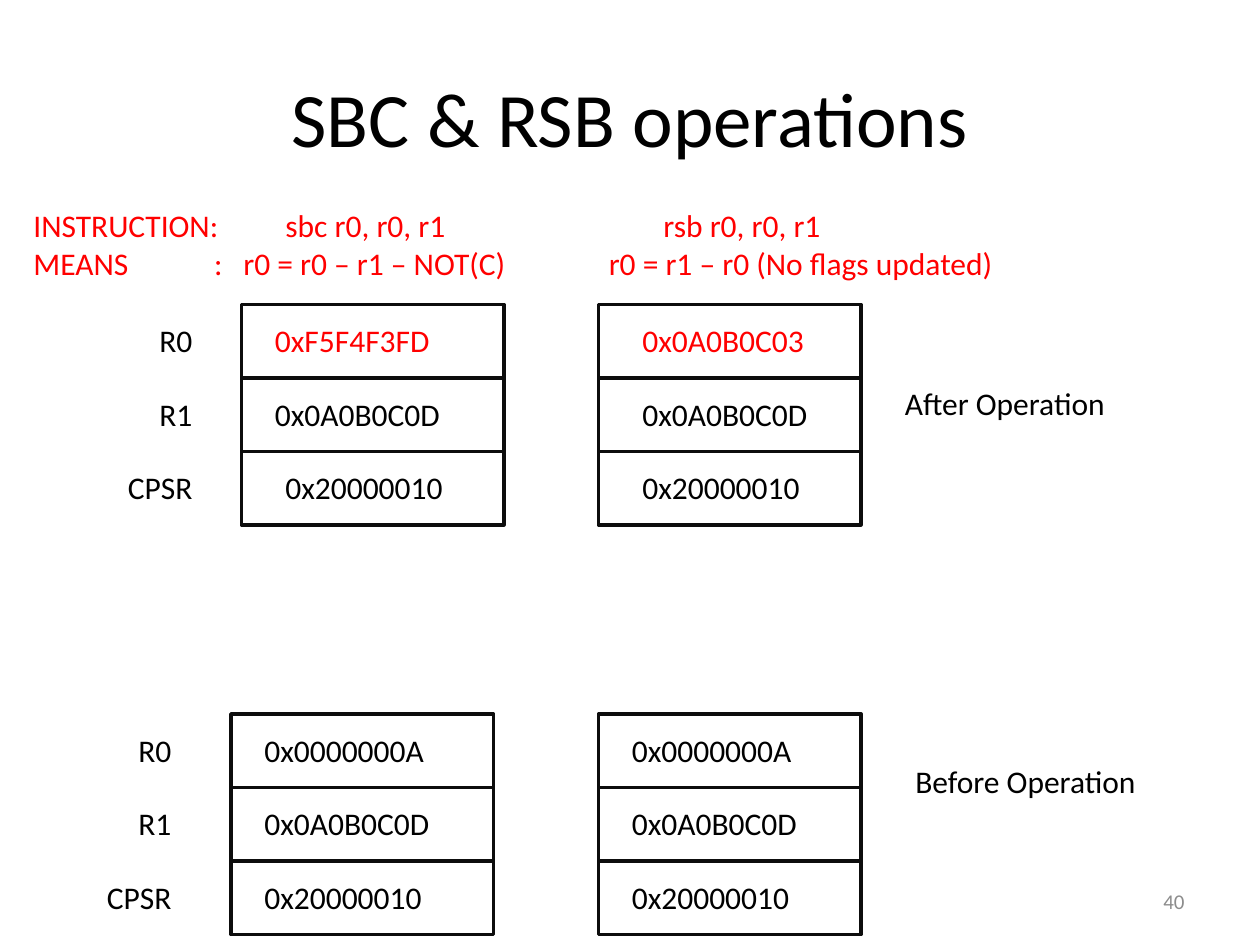
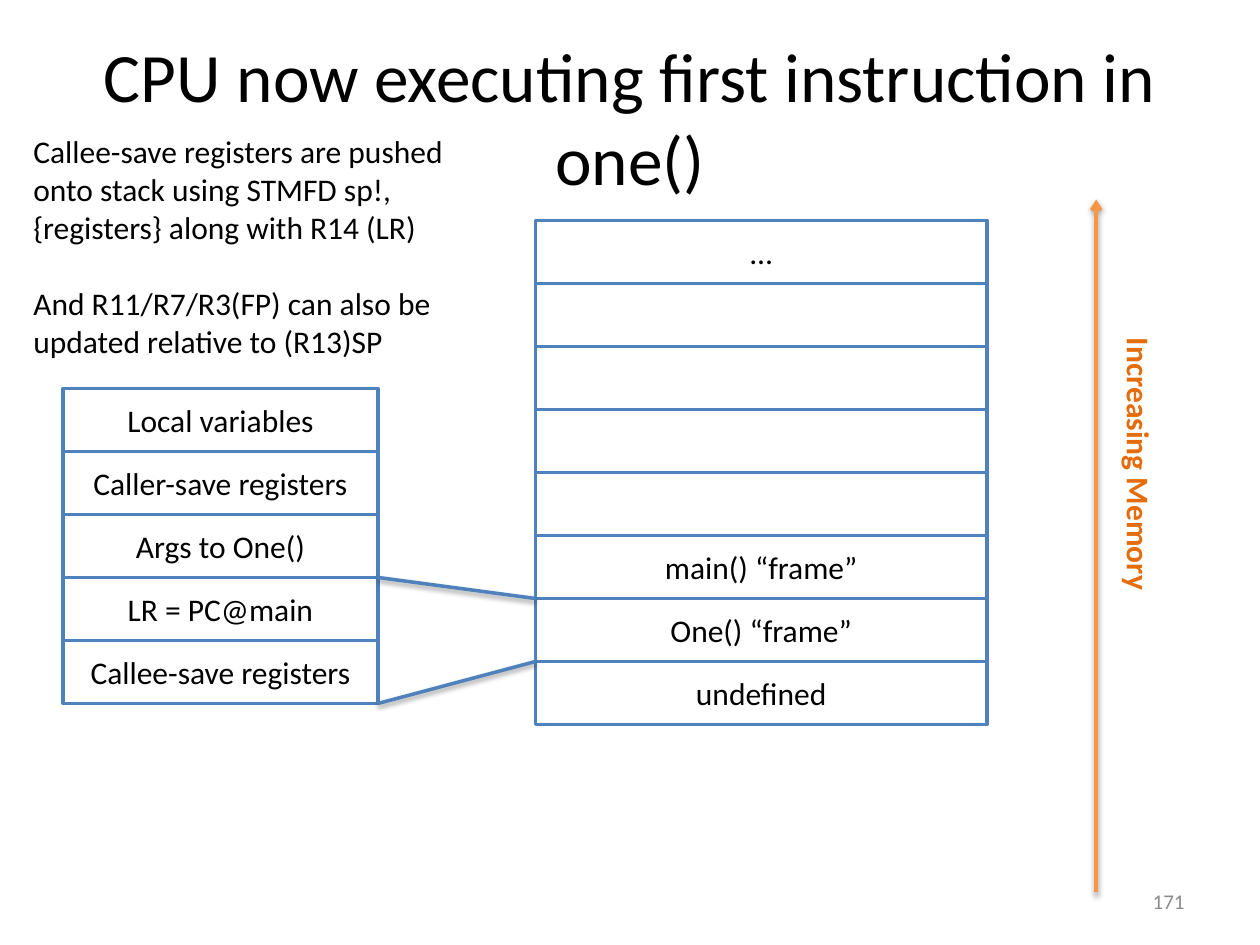
from dataclasses import dataclass

from lxml.etree import SubElement
from pptx import Presentation
from pptx.dml.color import RGBColor
from pptx.enum.shapes import MSO_CONNECTOR, MSO_SHAPE
from pptx.enum.text import MSO_ANCHOR, PP_ALIGN
from pptx.oxml.ns import qn
from pptx.shapes.autoshape import Shape
from pptx.slide import Slide
from pptx.text.text import TextFrame
from pptx.util import Pt

PX = 7620  # 120 px to the inch
FONT = "Calibri"
BLACK, WHITE, RED = "000000", "FFFFFF", "FF0000"
INK, BLUE, GREY = "0D0D0D", "4F81BD", "8C8C8C"
AMBER, RUST = "F79646", "E46C0A"
LINE_H = 48
CELL_W, CELL_H = 250, 70
SLOT_H = 60
NAMES = ("R0", "R1", "CPSR")


@dataclass
class Bank:
    """Three stacked registers; insets give each value's offset from the left."""
    left: int
    top: int
    values: tuple[str, str, str]
    insets: tuple[int, int, int]
    first: str = BLACK


@dataclass
class Stack:
    left: int
    top: int
    width: int
    slots: tuple[str, ...]


@dataclass
class Link:
    start: tuple[int, int]
    end: tuple[int, int]
    color: str = BLUE
    arrow: bool = False


BANKS = (
    Bank(230, 290, ("0xF5F4F3FD", "0x0A0B0C0D", "0x20000010"), (20, 20, 30), RED),
    Bank(570, 290, ("0x0A0B0C03", "0x0A0B0C0D", "0x20000010"), (30, 30, 30), RED),
    Bank(220, 680, ("0x0000000A", "0x0A0B0C0D", "0x20000010"), (20, 20, 20)),
    Bank(570, 680, ("0x0000000A", "0x0A0B0C0D", "0x20000010"), (20, 20, 20)),
)
STACKS = (
    Stack(510, 210, 430,
          ("…", "", "", "", "", "main() “frame”", "One() “frame”", "undefined")),
    Stack(60, 370, 300,
          ("Local variables", "Caller-save registers", "Args to One()",
           "LR = PC@main", "Callee-save registers")),
)
LINKS = (
    Link((510, 570), (360, 550)),
    Link((510, 630), (360, 670)),
    Link((1044, 850), (1044, 190), AMBER, True),
)


def rgb(color: str) -> RGBColor:
    return RGBColor.from_string(color)


def write(frame: TextFrame, *lines: str, size: float = 18, color: str = BLACK,
          bold: bool = False, align: PP_ALIGN = PP_ALIGN.LEFT,
          anchor: MSO_ANCHOR = MSO_ANCHOR.TOP, gap: float = 0,
          tabs: tuple[tuple[int, ...], ...] = ()) -> None:
    """Set one paragraph per line; tabs holds the stops of each line in px."""
    frame.word_wrap = True
    frame.vertical_anchor = anchor
    for i, line in enumerate(lines):
        para = frame.add_paragraph() if i else frame.paragraphs[0]
        para.alignment = align
        if i and gap:
            para.space_before = Pt(gap)
        if tabs:
            stops = SubElement(para._p.get_or_add_pPr(), qn("a:tabLst"))
            for pos in tabs[i]:
                SubElement(stops, qn("a:tab"), pos=str(pos * PX), algn="l")
        run = para.add_run()
        run.text = line
        font = run.font
        font.name, font.size, font.bold = FONT, Pt(size), bold
        font.color.rgb = rgb(color)


def label(slide: Slide, box: tuple[int, int, int, int], *lines: str, **style) -> Shape:
    shape = slide.shapes.add_textbox(*(n * PX for n in box))
    write(shape.text_frame, *lines, **style)
    return shape


def block(slide: Slide, box: tuple[int, int, int, int], line: str,
          fill: str = "", text: str = "") -> None:
    shape = slide.shapes.add_shape(MSO_SHAPE.RECTANGLE, *(n * PX for n in box))
    shape.shadow.inherit = False
    if fill:
        shape.fill.solid()
        shape.fill.fore_color.rgb = rgb(fill)
    else:
        shape.fill.background()
    shape.line.color.rgb = rgb(line)
    shape.line.width = Pt(2)
    if text:
        write(shape.text_frame, text, align=PP_ALIGN.CENTER, anchor=MSO_ANCHOR.MIDDLE)


def draw_bank(slide: Slide, bank: Bank) -> None:
    for i, (value, inset) in enumerate(zip(bank.values, bank.insets)):
        top = bank.top + i * CELL_H
        block(slide, (bank.left, top, CELL_W, CELL_H), INK)
        label(slide, (bank.left + inset, top + 10, 200, LINE_H), value,
              color=BLACK if i else bank.first)


def draw_names(slide: Slide, right: int, top: int) -> None:
    for i, name in enumerate(NAMES):
        width = 60 if len(name) == 2 else 90
        label(slide, (right - width, top + 10 + i * CELL_H, width, LINE_H), name)


def draw_stack(slide: Slide, stack: Stack) -> None:
    for i, slot in enumerate(stack.slots):
        block(slide, (stack.left, stack.top + i * SLOT_H, stack.width, SLOT_H),
              BLUE, WHITE, slot)


def draw_link(slide: Slide, link: Link) -> None:
    """Draw a line with a soft shadow below it."""
    ends = (n * PX for n in link.start + link.end)
    wire = slide.shapes.add_connector(MSO_CONNECTOR.STRAIGHT, *ends)
    wire.line.color.rgb = rgb(link.color)
    wire.line.width = Pt(2)
    if link.arrow:
        SubElement(wire.line._get_or_add_ln(), qn("a:tailEnd"), type="arrow")
    effects = SubElement(wire._element.spPr, qn("a:effectLst"))
    shade = SubElement(effects, qn("a:outerShdw"), blurRad=str(Pt(3.1)),
                       dist=str(Pt(1.6)), dir="5400000", rotWithShape="0")
    tone = SubElement(shade, qn("a:srgbClr"), val=BLACK)
    SubElement(tone, qn("a:alpha"), val="38000")


def add_page(deck: Presentation, title: str, number: int, size: float = 44) -> Slide:
    slide = deck.slides.add_slide(deck.slide_layouts[6])
    label(slide, (60, 36, 1080, 150), title, size=size,
          align=PP_ALIGN.CENTER, anchor=MSO_ANCHOR.MIDDLE)
    label(slide, (860, 834, 280, LINE_H), str(number), size=12, color=GREY,
          align=PP_ALIGN.RIGHT, anchor=MSO_ANCHOR.MIDDLE)
    return slide


def draw_ops(deck: Presentation) -> None:
    slide = add_page(deck, "SBC & RSB operations", 40)
    label(slide, (20, 190, 1120, 85),
          "INSTRUCTION:\tsbc r0, r0, r1\trsb r0, r0, r1",
          "MEANS\t:\tr0 = r0 – r1 – NOT(C)\tr0 = r1 – r0 (No flags updated)",
          color=RED, tabs=((240, 600), (172, 200, 548)))
    for bank in BANKS:
        draw_bank(slide, bank)
    draw_names(slide, 200, 290)
    draw_names(slide, 180, 680)
    label(slide, (850, 360, 310, LINE_H), "After Operation")
    label(slide, (860, 720, 310, LINE_H), "Before Operation")


def draw_call(deck: Presentation) -> None:
    slide = add_page(deck, "CPU now executing first instruction in one()", 171, 39.6)
    for stack in STACKS:
        draw_stack(slide, stack)
    for link in LINKS:
        draw_link(slide, link)
    label(slide, (20, 120, 470, 230),
          "Callee-save registers are pushed onto stack using STMFD sp!,"
          "{registers} along with R14 (LR)",
          "And R11/R7/R3(FP) can also be updated relative to (R13)SP", gap=22)
    side = label(slide, (905, 466, 360, LINE_H), "Increasing Memory",
                 color=RUST, bold=True)
    side.rotation = 90


def main() -> None:
    deck = Presentation()
    deck.slide_width, deck.slide_height = 1200 * PX, 900 * PX
    draw_ops(deck)
    draw_call(deck)
    deck.save("out.pptx")


if __name__ == "__main__":
    main()
